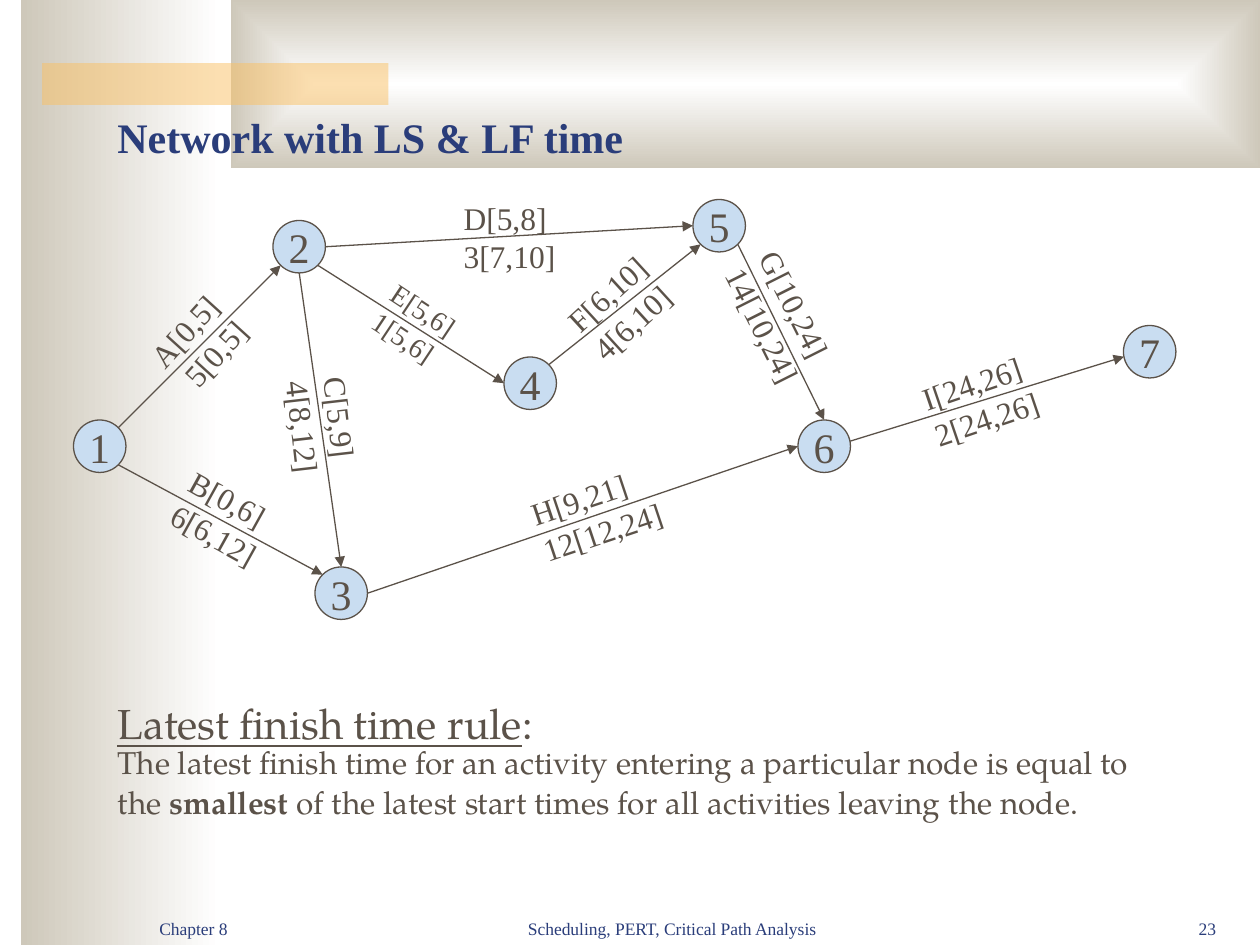
from math import cos, radians, sin

from lxml import etree
from pptx import Presentation
from pptx.dml.color import RGBColor
from pptx.enum.shapes import MSO_CONNECTOR, MSO_SHAPE
from pptx.enum.text import MSO_ANCHOR, PP_ALIGN
from pptx.oxml.ns import qn
from pptx.util import Pt

COLORS = {
    "ink": "5B5249",
    "navy": "2A3D7A",
    "node": "C9DDF1",
    "stone": "CEC8BA",
    "white": "FFFFFF",
    "amber": "FAC164",
}
SERIF = "Times New Roman"
BOOK = "TeX Gyre Pagella"
NODE_SIZE = 30


def rgb(key):
    return RGBColor.from_string(COLORS[key])


class SlideBuilder:
    def __init__(self, s):
        self.s = s
        self.base = {"name": SERIF, "size": Pt(18)}

    def add_words(self, tf, paragraphs, color="ink", align=PP_ALIGN.LEFT, spacing=None, indents=()):
        for i, runs in enumerate(paragraphs):
            p = tf.add_paragraph() if i else tf.paragraphs[0]
            p.alignment = align
            if spacing:
                p.line_spacing = spacing
            if i < len(indents) and indents[i]:
                pPr = p._p.get_or_add_pPr()
                pPr.set("marL", str(Pt(indents[i])))
                pPr.set("indent", "0")
            for text, fmt in runs:
                r = p.add_run()
                r.text = text
                for key, value in {**self.base, **fmt}.items():
                    setattr(r.font, key, value)
                r.font.color.rgb = rgb(color)

    def shape(self, kind, box):
        sp = self.s.shapes.add_shape(kind, *map(Pt, box))
        sp.shadow.inherit = False
        sp.line.fill.background()
        return sp

    def band(self, box, color, alpha):
        sp = self.shape(MSO_SHAPE.RECTANGLE, box)
        sp.fill.solid()
        sp.fill.fore_color.rgb = rgb(color)
        clr = sp._element.spPr.find(qn("a:solidFill"))[0]
        etree.SubElement(clr, qn("a:alpha"), val=str(alpha * 1000))

    def gradient(self, box, inward=False):
        sp = self.shape(MSO_SHAPE.RECTANGLE, box)
        sp.fill.gradient()
        sp.fill.gradient_angle = 180
        for stop, position, color in zip(sp.fill.gradient_stops, (0, 1), ("white", "stone")):
            stop.position = position
            stop.color.rgb = rgb(color)
        if inward:
            grad = sp._element.spPr.find(qn("a:gradFill"))
            grad.remove(grad.find(qn("a:lin")))
            shade = etree.SubElement(grad, qn("a:path"), attrib={"path": "rect"})
            sides = {side: "50000" for side in "ltrb"}
            etree.SubElement(shade, qn("a:fillToRect"), attrib=sides)

    def node(self, label, left, top):
        sp = self.shape(MSO_SHAPE.OVAL, (left, top, NODE_SIZE, NODE_SIZE))
        sp.fill.solid()
        sp.fill.fore_color.rgb = rgb("node")
        sp.line.color.rgb = rgb("ink")
        sp.line.width = Pt(0.75)
        tf = sp.text_frame
        tf.word_wrap = False
        tf.vertical_anchor = MSO_ANCHOR.MIDDLE
        self.add_words(tf, [[(label, {"size": Pt(24)})]], align=PP_ALIGN.CENTER)

    def arrow(self, start, end):
        cx = self.s.shapes.add_connector(MSO_CONNECTOR.STRAIGHT, *map(Pt, start + end))
        cx.line.color.rgb = rgb("ink")
        cx.line.width = Pt(0.75)
        spPr = cx._element.spPr
        etree.SubElement(spPr.find(qn("a:ln")), qn("a:tailEnd"), type="triangle")
        etree.SubElement(spPr, qn("a:effectLst"))

    def text(self, box, paragraphs, anchor=MSO_ANCHOR.TOP, rotation=0, **style):
        sp = self.s.shapes.add_textbox(*map(Pt, box))
        sp.rotation = rotation
        tf = sp.text_frame
        tf.word_wrap = True
        tf.vertical_anchor = anchor
        self.add_words(tf, paragraphs, **style)
        return tf

    def activity(self, box, rotation, lines, size=18, indents=()):
        paragraphs = [[(line, {"size": Pt(size)})] for line in lines]
        tf = self.text(box, paragraphs, rotation=rotation, indents=indents)
        tf.margin_right = 0


NODES = {
    "1": (42, 240), "2": (156, 126), "3": (180, 324), "4": (288, 204),
    "5": (396, 114), "6": (456, 240), "7": (642, 186),
}

EDGES = [
    ("1", -45, "2", 135), ("1", 45, "3", -135), ("2", 90, "3", -90),
    ("2", 45, "4", 180), ("2", 0, "5", 180), ("4", -45, "5", 135),
    ("5", 45, "6", -90), ("3", 0, "6", 180), ("6", -11, "7", 169),
]

ACTIVITIES = [
    ((81.4, 169.2, 67, 50.4), 312.2, ("A[0,5]", "5[0,5]"), 18, (0, 4.5)),
    ((90, 270, 72, 50.4), 29, ("B[0,6]", "6[6,12]"), 18, (4.5, 4.5)),
    ((148.3, 220.3, 72, 50.4), 83.4, ("C[5,9]", "4[8,12]")),
    ((257.8, 110.2, 77.8, 50.4), 0, ("D[5,8]", "3[7,10]")),
    ((208.8, 164.2, 61.2, 46), 33.6, ("E[5,6]", "1[5,6]"), 16),
    ((319.7, 149.8, 70.6, 50.4), 317.5, ("F[6,10]", "4[6,10]")),
    ((401.5, 158.9, 91.4, 50.4), 63.3, ("G[10,24]", "14[10,24]")),
    ((293.8, 267.1, 100.8, 50.4), 341.5, ("H[9,21]", "12[12,24]"), 18, (4.5, 4.5)),
    ((522, 201.6, 87.8, 50.4), 341.2, ("I[24,26]", "2[24,26]")),
]

RULE = [
    [
        ("Latest finish time rule", {"name": BOOK, "size": Pt(24), "underline": True}),
        (":", {"name": BOOK, "size": Pt(24)}),
    ],
    [
        ("The latest finish time for an activity entering a particular node is equal to the ",
         {"name": BOOK}),
        ("smallest", {"name": BOOK, "bold": True}),
        (" of the latest start times for all activities leaving the node.", {"name": BOOK}),
        (" ", {"name": BOOK, "size": Pt(24)}),
    ],
]

FOOTERS = [
    ((270, 504, 228, 36), "Scheduling, PERT, Critical Path Analysis", PP_ALIGN.CENTER),
    ((630, 504, 72, 36), "23", PP_ALIGN.RIGHT),
    ((84, 504, 150, 36), "Chapter 8", PP_ALIGN.LEFT),
]


def rim(label, angle):
    left, top = NODES[label]
    radius = NODE_SIZE / 2
    return (left + radius * (1 + cos(radians(angle))),
            top + radius * (1 + sin(radians(angle))))


def main():
    prs = Presentation()
    prs.slide_width, prs.slide_height = Pt(720), Pt(540)
    b = SlideBuilder(prs.slides.add_slide(prs.slide_layouts[6]))
    b.gradient((12, 0, 114, 540))
    b.gradient((132, 0, 588, 96), inward=True)
    b.band((24, 36, 198, 24), "amber", 50)
    b.text((60, 48, 612, 48),
           [[("Network with LS & LF time", {"size": Pt(24), "bold": True})]],
           anchor=MSO_ANCHOR.BOTTOM, color="navy")
    for label, position in NODES.items():
        b.node(label, *position)
    for source, leave, target, enter in EDGES:
        b.arrow(rim(source, leave), rim(target, enter))
    for activity in ACTIVITIES:
        b.activity(*activity)
    b.text((60, 399.6, 600, 92.9), RULE, spacing=0.85)
    for box, words, align in FOOTERS:
        b.text(box, [[(words, {"size": Pt(10)})]],
               anchor=MSO_ANCHOR.BOTTOM, color="navy", align=align)
    prs.save("out.pptx")


if __name__ == "__main__":
    main()
